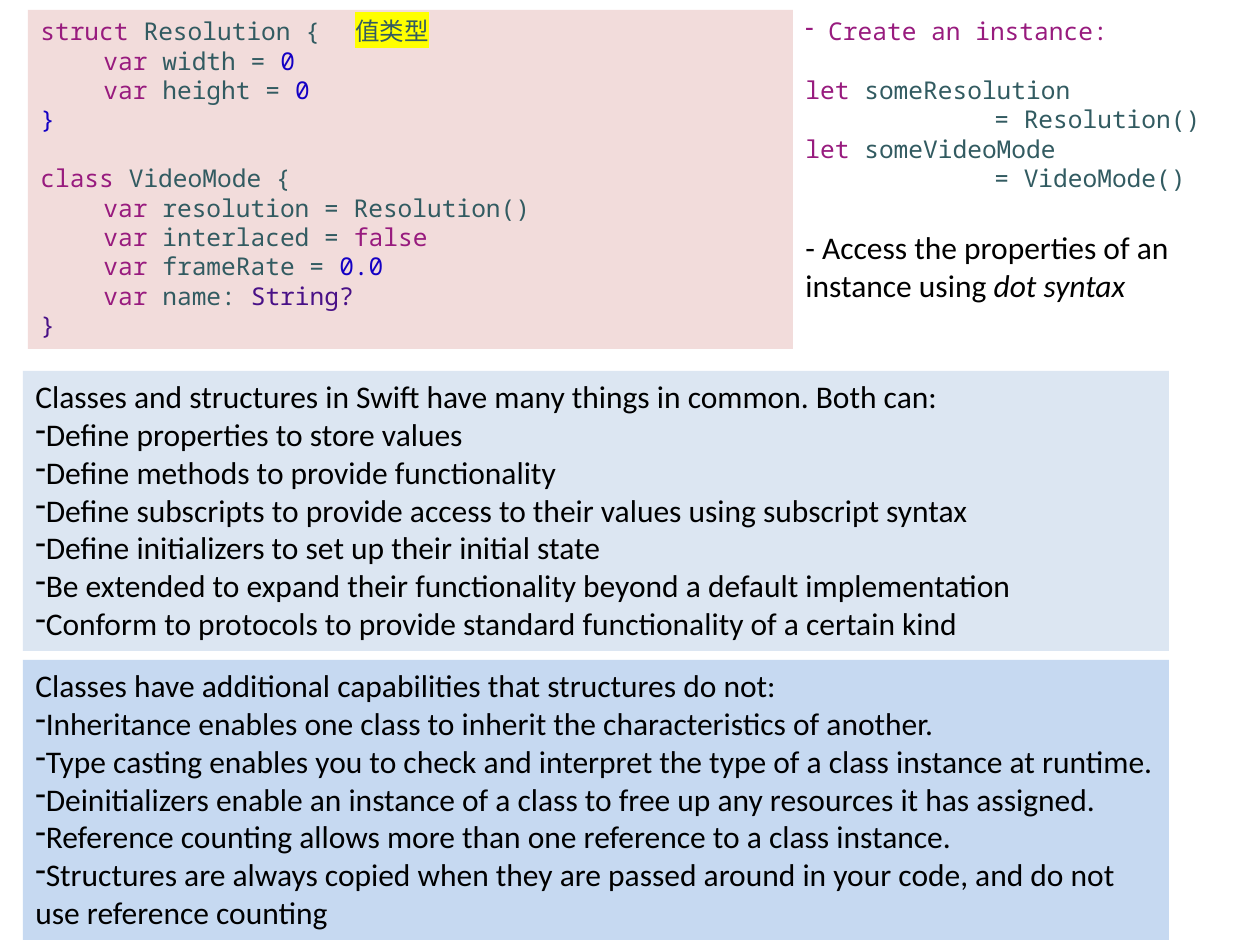
"""Build a slide comparing structures and classes in Swift."""
from lxml import etree
from pptx import Presentation
from pptx.dml.color import RGBColor
from pptx.enum.text import MSO_AUTO_SIZE
from pptx.oxml.ns import qn
from pptx.util import Emu, Pt

FIT_SHAPE = MSO_AUTO_SIZE.SHAPE_TO_FIT_TEXT
EMU_PER_PX = 914400 / 126
KEYWORD, NAME, NUMBER, TYPE = "981B7E", "325B61", "1400C4", "491187"
BLACK, YELLOW = "000000", "FFFF00"
CODE = {"name": "Noto Sans Mono", "size": Pt(14)}
PROSE = {"name": "Calibri", "size": Pt(18)}
CODE_LINE = Pt(16.75)


def px(length):
    return Emu(round(length * EMU_PER_PX))


def rgb(value):
    return RGBColor.from_string(value)


def variable(name, *value):
    return {"runs": [("\tvar ", KEYWORD), (name, NAME), *value]}


def instance(name, initializer, **layout):
    return [
        {"runs": [("let ", KEYWORD), (name, NAME)], **layout},
        {"runs": [(f"\t\t\t= {initializer}()", NAME)]},
    ]


def bullet_list(heading, items):
    return [{"runs": [(heading, BLACK)]}] + [
        {"runs": [(item, BLACK)], "bullet": "-"} for item in items
    ]


class SlideBuilder:
    def __init__(self, presentation):
        self.slide = presentation.slides.add_slide(presentation.slide_layouts[6])

    def text_box(self, left, top, width, height, paragraphs, style, fill=None):
        shape = self.slide.shapes.add_textbox(*map(px, (left, top, width, height)))
        if fill:
            shape.fill.solid()
            shape.fill.fore_color.rgb = rgb(fill)
        frame = shape.text_frame
        frame.word_wrap = True
        frame.auto_size = FIT_SHAPE
        for index, content in enumerate(paragraphs):
            paragraph = frame.add_paragraph() if index else frame.paragraphs[0]
            self.paragraph(paragraph, style, **content)

    def paragraph(self, paragraph, style, runs, bullet=None, space_before=None):
        if space_before:
            paragraph.space_before = space_before
        if bullet:
            properties = paragraph._p.get_or_add_pPr()
            etree.SubElement(properties, qn("a:buFontTx"))
            etree.SubElement(properties, qn("a:buChar"), char=bullet)
        for text, color, *extra in runs:
            self.run(paragraph, text, color, {**style, **(extra[0] if extra else {})})

    def run(self, paragraph, text, color, format_values):
        run = paragraph.add_run()
        run.text = text
        run.font.color.rgb = rgb(color)
        for name, value in format_values.items():
            if name == "highlight":
                self.highlight(run, value)
            else:
                setattr(run.font, name, value)

    def highlight(self, run, color):
        highlight = etree.Element(qn("a:highlight"))
        etree.SubElement(highlight, qn("a:srgbClr"), val=color)
        run._r.rPr.find(qn("a:solidFill")).addnext(highlight)


DEFINITIONS = [
    {"runs": [("struct ", KEYWORD), ("Resolution {\t", NAME),
              ("值类型", NAME, {"highlight": YELLOW})]},
    variable("width = ", ("0", NUMBER)),
    variable("height = ", ("0", NUMBER)),
    {"runs": [("}", NUMBER)]},
    {"runs": [("class ", KEYWORD), ("VideoMode {", NAME)], "space_before": CODE_LINE},
    variable("resolution = Resolution()"),
    variable("interlaced = ", ("false", KEYWORD)),
    variable("frameRate = ", ("0.0", NUMBER)),
    variable("name: ", ("String?", TYPE)),
    {"runs": [("}", TYPE)]},
]
INSTANCES = [
    {"runs": [(" Create an instance:", KEYWORD)], "bullet": "-"},
    *instance("someResolution", "Resolution", space_before=CODE_LINE),
    *instance("someVideoMode", "VideoMode"),
]
ACCESS = [{"runs": [
    ("- Access the properties of an instance using ", BLACK),
    ("dot syntax", BLACK, {"italic": True}),
]}]
COMMON = bullet_list(
    "Classes and structures in Swift have many things in common. Both can:",
    [
        "Define properties to store values",
        "Define methods to provide functionality",
        "Define subscripts to provide access to their values using subscript syntax",
        "Define initializers to set up their initial state",
        "Be extended to expand their functionality beyond a default implementation",
        "Conform to protocols to provide standard functionality of a certain kind",
    ],
)
CLASS_ONLY = bullet_list(
    "Classes have additional capabilities that structures do not:",
    [
        "Inheritance enables one class to inherit the characteristics of another.",
        "Type casting enables you to check and interpret the type of a class instance at runtime.",
        "Deinitializers enable an instance of a class to free up any resources it has assigned.",
        "Reference counting allows more than one reference to a class instance.",
        "Structures are always copied when they are passed around in your code, "
        "and do not use reference counting",
    ],
)


def main():
    presentation = Presentation()
    presentation.slide_width, presentation.slide_height = px(1260), px(945)
    builder = SlideBuilder(presentation)
    builder.text_box(28, 10, 765, 339, DEFINITIONS, CODE, "F2DCDB")
    builder.text_box(23, 371, 1146, 280, COMMON, PROSE, "DCE6F2")
    builder.text_box(23, 660, 1146, 280, CLASS_ONLY, PROSE, "C6D9F1")
    builder.text_box(793, 10, 428, 190, INSTANCES, CODE)
    builder.text_box(793, 222, 436, 89, ACCESS, PROSE)
    presentation.save("out.pptx")


if __name__ == "__main__":
    main()
